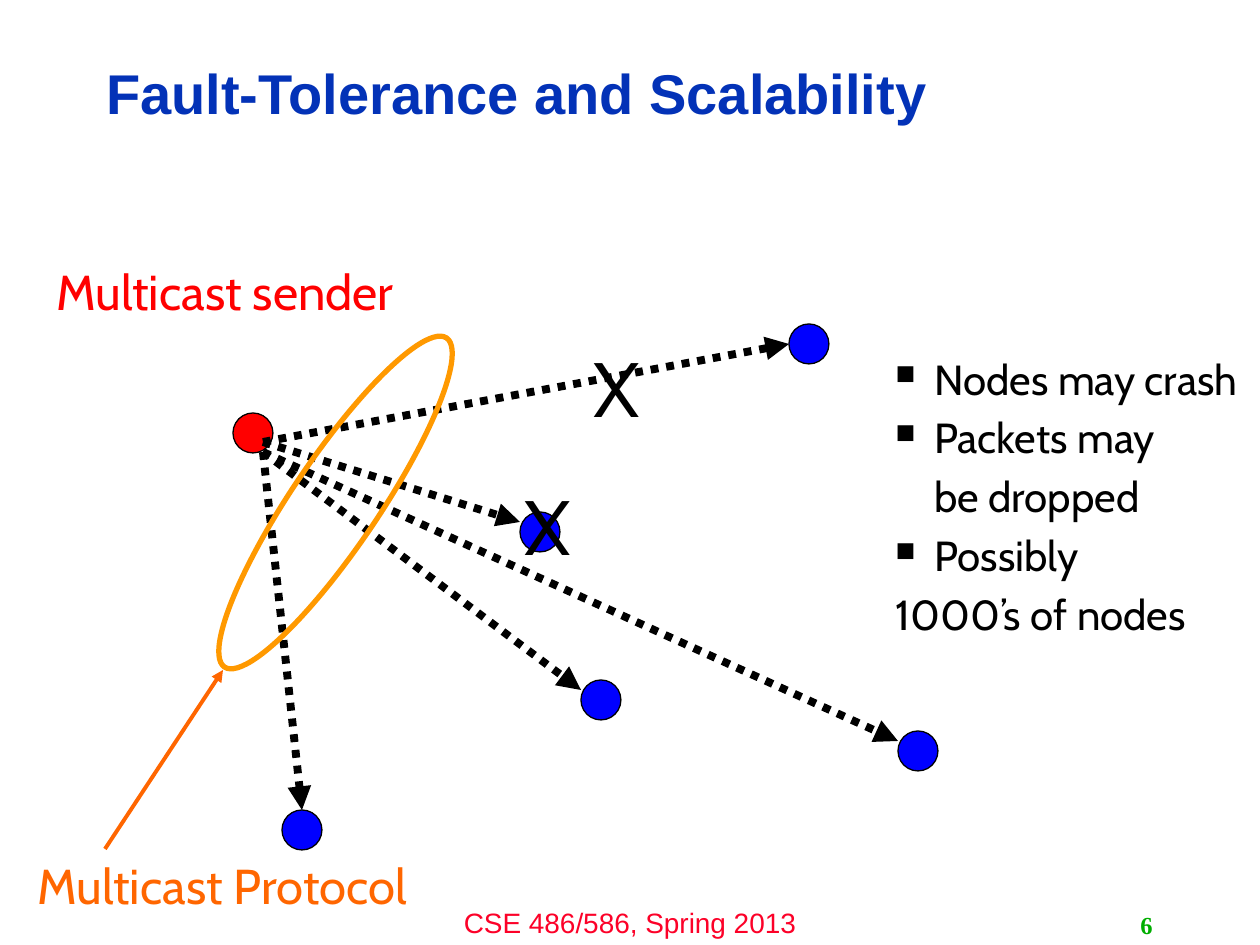
from pptx import Presentation
from pptx.dml.color import RGBColor
from pptx.enum.dml import MSO_LINE
from pptx.enum.shapes import MSO_CONNECTOR, MSO_SHAPE
from pptx.enum.text import MSO_ANCHOR as ANCHOR, PP_ALIGN as ALIGN
from pptx.oxml.ns import qn
from pptx.util import Pt
from lxml.etree import SubElement

PX = 914400 / 126


def px(*values):
    return [round(v * PX) for v in values]


def color(value):
    return RGBColor.from_string(value)


prs = Presentation()
prs.slide_width, prs.slide_height = px(1260, 945)
s = prs.slides.add_slide(prs.slide_layouts[6])

# Nodes: the red sender and the blue receivers
NODE = 40
nodes = [
    (233, 413, "FF0000"),
    (581, 680, "0000FF"),
    (282, 810, "0000FF"),
    (898, 731, "0000FF"),
    (520, 512, "0000FF"),
    (789, 324, "0000FF"),
]
for x, y, fill in nodes:
    node = s.shapes.add_shape(MSO_SHAPE.OVAL, *px(x, y, NODE, NODE))
    node.shadow.inherit = False
    node.fill.solid()
    node.fill.fore_color.rgb = color(fill)
    node.line.color.rgb = color("000000")
    node.line.width = Pt(0.75)

# Arrows: protocol pointer, then the dotted multicast messages
dotted = ("000000", 4.5, MSO_LINE.ROUND_DOT)
arrows = [
    ((105, 849, 223, 670), ("FF6600", 2.25, None)),
    ((263, 452, 302, 810), dotted),
    ((263, 452, 581, 690), dotted),
    ((263, 442, 520, 522), dotted),
    ((263, 442, 789, 344), dotted),
    ((263, 452, 898, 741), dotted),
]
for ends, (rgb, width, dash) in arrows:
    arrow = s.shapes.add_connector(MSO_CONNECTOR.STRAIGHT, *px(*ends))
    arrow.line.color.rgb = color(rgb)
    arrow.line.width = Pt(width)
    if dash:
        arrow.line.dash_style = dash
    SubElement(arrow.line._get_or_add_ln(), qn("a:tailEnd"), type="triangle")
    SubElement(arrow._element.spPr, qn("a:effectLst"))

# Tilted ring around the messages
ring = s.shapes.add_shape(MSO_SHAPE.OVAL, *px(137, 459, 397, 87))
ring.shadow.inherit = False
ring.rotation = 304
ring.fill.background()
ring.line.color.rgb = color("FF9900")
ring.line.width = Pt(3)

# Texts: box, paragraphs as (text, kind), font, paragraph format, anchor
label = {"name": "Cabin", "size": Pt(28)}
cross = {"name": "Cabin", "size": Pt(44), "color": "000000"}
notes = [
    ("Nodes may crash", "bullet"),
    ("Packets may", "bullet"),
    ("be dropped", "indent"),
    ("Possibly", "bullet"),
    ("1000’s of nodes", "plain"),
]
texts = [
    ((94, 45, 1006, 102), [("Fault-Tolerance and Scalability", "plain")],
     {"name": "Arial", "size": Pt(32), "bold": True, "color": "0332B7"},
     {"line_spacing": 0.9}, ANCHOR.MIDDLE),
    ((420, 899, 420, 46), [("CSE 486/586, Spring 2013", "plain")],
     {"name": "Arial", "size": Pt(16), "color": "FC0128"},
     {"alignment": ALIGN.CENTER}, ANCHOR.TOP),
    ((903, 905, 262, 40), [("6", "plain")],
     {"name": "Times New Roman", "size": Pt(14), "bold": True, "color": "00AE00"},
     {"alignment": ALIGN.RIGHT}, ANCHOR.MIDDLE),
    ((44, 255, 381, 72), [("Multicast sender", "plain")],
     {**label, "color": "FF0000"}, {}, ANCHOR.TOP),
    ((25, 849, 406, 72), [("Multicast Protocol", "plain")],
     {**label, "color": "FF6600"}, {}, ANCHOR.TOP),
    ((883, 347, 376, 369), notes,
     {"name": "Cabin", "size": Pt(24), "color": "000000"}, {}, ANCHOR.TOP),
    ((581, 334, 69, 105), [("X", "plain")], cross, {}, ANCHOR.TOP),
    ((512, 472, 69, 105), [("X", "plain")], cross, {}, ANCHOR.TOP),
]
INDENT = px(39)[0]
for box, paragraphs, font, layout, anchor in texts:
    tf = s.shapes.add_textbox(*px(*box)).text_frame
    tf.word_wrap = True
    tf.vertical_anchor = anchor
    for i, (text, kind) in enumerate(paragraphs):
        p = tf.add_paragraph() if i else tf.paragraphs[0]
        for key, value in layout.items():
            setattr(p, key, value)
        if i:
            p.space_before = Pt(4.8)
        pPr = p._p.get_or_add_pPr()
        if kind != "plain":
            pPr.set("marL", str(INDENT))
        if kind == "bullet":
            pPr.set("indent", str(-INDENT))
            SubElement(pPr, qn("a:buSzPct"), val="65000")
            SubElement(pPr, qn("a:buChar"), char="■")
        r = p.add_run()
        r.text = text
        for key, value in font.items():
            if key == "color":
                r.font.color.rgb = color(value)
            else:
                setattr(r.font, key, value)

prs.save("out.pptx")
